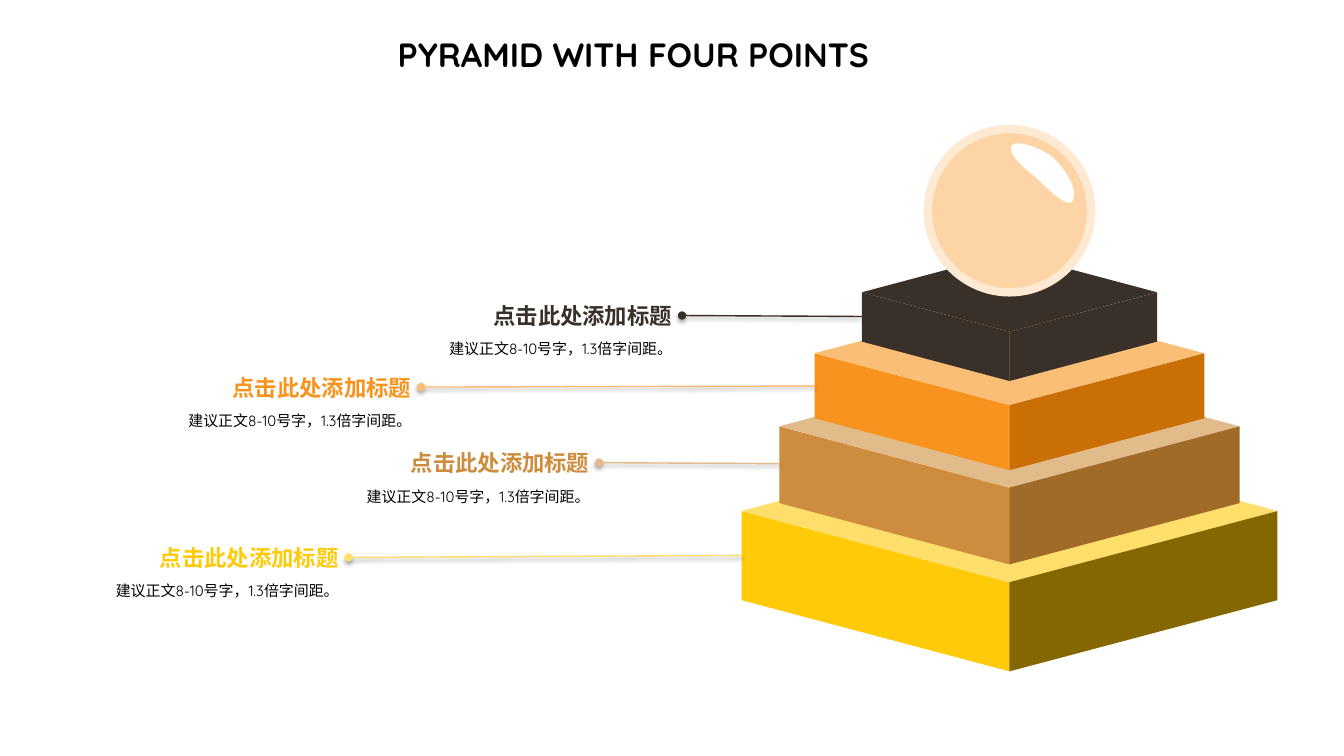
from pptx import Presentation
from pptx.dml.color import RGBColor
from pptx.enum.shapes import MSO_CONNECTOR, MSO_SHAPE
from pptx.enum.text import MSO_ANCHOR, MSO_AUTO_SIZE, PP_ALIGN
from pptx.oxml import parse_xml
from pptx.oxml.ns import nsdecls
from pptx.util import Inches, Pt

# The slide is a grid of square cells, 133.4 columns by 75 rows
COLUMNS, ROWS = 133.4, 75
CELL = Inches(0.1)
AXIS = 100.2  # column of the pyramid's centre line
FONT = "Quicksand"
COLORS = {
    "black": "000000", "white": "FFFFFF", "dark": "39302A",
    "yellow": "FFCA08", "yellow top": "FFDF6B", "yellow side": "846700",
    "brown": "CE8D3E", "brown top": "E2BB8B", "brown side": "A06A29",
    "orange": "F8931D", "orange top": "FBBE77", "orange side": "CA6F06",
    "ball": "FCD4A5", "ball rim": "FEE9D2",
}
LINE_SHADOW = (
    f'<a:effectLst {nsdecls("a")}>'
    '<a:outerShdw blurRad="40000" dist="20000" dir="5400000" rotWithShape="0">'
    '<a:srgbClr val="000000"><a:alpha val="38000"/></a:srgbClr>'
    '</a:outerShdw></a:effectLst>'
)
OVAL_HEAD = f'<a:headEnd {nsdecls("a")} type="oval"/>'


def cells(*counts):
    return [round(count * CELL) for count in counts]


def color(name):
    return RGBColor.from_string(COLORS[name])


def bezier(start, first, second, end, steps=12):
    """Points along a cubic curve, without its start."""
    points = []
    for step in range(1, steps + 1):
        t = step / steps
        weights = ((1 - t) ** 3, 3 * t * (1 - t) ** 2, 3 * t * t * (1 - t), t ** 3)
        points.append(tuple(
            sum(weight * value for weight, value in zip(weights, axis))
            for axis in zip(start, first, second, end)))
    return points


class PyramidSlide:
    def __init__(self, deck):
        self.page = deck.slides.add_slide(deck.slide_layouts[6])
        self.shapes = self.page.shapes

    def paint(self, shape, fill):
        shape.shadow.inherit = False
        shape.fill.solid()
        shape.fill.fore_color.rgb = color(fill)
        shape.line.fill.background()
        return shape

    def shape(self, kind, left, top, width, height, fill):
        shape = self.shapes.add_shape(kind, *cells(left, top, width, height))
        return self.paint(shape, fill)

    def text(self, left, top, width, height, text, size, ink, align,
             bold=False, wrap=True, spacing=None, grow=True):
        box = self.shapes.add_textbox(*cells(left, top, width, height))
        frame = box.text_frame
        frame.text = text
        frame.word_wrap = wrap
        if grow:
            frame.auto_size = MSO_AUTO_SIZE.SHAPE_TO_FIT_TEXT
        else:
            frame.vertical_anchor = MSO_ANCHOR.MIDDLE
        para = frame.paragraphs[0]
        para.alignment = align
        if spacing:
            para.line_spacing = spacing
        font = para.runs[0].font
        font.name, font.size, font.bold = FONT, Pt(size), bold
        font.color.rgb = color(ink)

    def face(self, center_x, center_y, rise, run, fill, right):
        # A parallelogram on its side, so its width runs down the slide
        face = self.shape(MSO_SHAPE.PARALLELOGRAM, center_x - rise / 2,
                          center_y - run / 2, rise, run, fill)
        face.adjustments[0] = 0.444
        face.rotation = 270 if right else 90
        if right:
            face._element.spPr.xfrm.set("flipH", "1")

    def tier(self, top, width, depth, rise, front, lid, side):
        half = width / 2
        center_y = top + depth / 2 + rise / 2
        self.face(AXIS - half / 2, center_y, rise, half, front, False)
        self.shape(MSO_SHAPE.DIAMOND, AXIS - half, top, width, depth, lid)
        self.face(AXIS + half / 2, center_y, rise, half, side, True)

    def ball(self, top, size):
        ball = self.shape(MSO_SHAPE.OVAL, AXIS - size / 2, top, size, size, "ball")
        ball.line.color.rgb = color("ball rim")
        ball.line.width = Pt(6)

    def highlight(self, start, curves):
        points = [start]
        for curve in curves:
            points += bezier(points[-1], *curve)
        builder = self.shapes.build_freeform(*cells(*start))
        builder.add_line_segments([cells(*point) for point in points[1:]], close=True)
        self.paint(builder.convert_to_shape(), "white")

    def pointer(self, start_x, start_y, end_x, end_y, ink):
        line = self.shapes.add_connector(
            MSO_CONNECTOR.STRAIGHT, *cells(start_x, start_y, end_x, end_y))
        line.line.color.rgb = color(ink)
        line.line.width = Pt(1)
        properties = line._element.spPr
        properties.ln.append(parse_xml(OVAL_HEAD))
        properties.append(parse_xml(LINE_SHADOW))

    def caption(self, right, top, target_x, drop, ink, line_ink):
        self.text(right - 25.9, top + 3.2, 25.9, 3.1, "建议正文8-10号字，1.3倍字间距。",
                  10.7, "black", PP_ALIGN.RIGHT, spacing=1.3)
        self.text(right - 20, top, 20, 3.7, "点击此处添加标题",
                  16, ink, PP_ALIGN.RIGHT, bold=True, wrap=False)
        start_y = top + 1.8
        self.pointer(right, start_y, target_x, start_y + drop, line_ink)


def main():
    deck = Presentation()
    deck.slide_width, deck.slide_height = cells(COLUMNS, ROWS)
    slide = PyramidSlide(deck)

    # Heading
    slide.text(36.4, 2.6, 52.9, 5.6, "PYRAMID WITH FOUR POINTS", 24, "black",
               PP_ALIGN.CENTER, bold=True, grow=False)

    # Pyramid, from the base up: top, width, depth, rise, colours
    tiers = [
        (43.6, 53.2, 14.2, 15.9, "yellow", "yellow top", "yellow side"),
        (36.2, 45.7, 12.2, 13.7, "brown", "brown top", "brown side"),
        (29.9, 38.7, 10.3, 11.6, "orange", "orange top", "orange side"),
        (25.1, 29.3, 7.8, 8.8, "dark", "dark", "dark"),
    ]
    for tier in tiers:
        slide.tier(*tier)

    # Ball on the top
    slide.ball(12.8, 16.2)
    slide.highlight((100.4, 14.5), [
        ((100.8, 13.7), (103.6, 14.8), (104.6, 15.7)),
        ((105.6, 16.7), (107.2, 18.8), (106.4, 20)),
        ((105.7, 20.6), (103.8, 18.5), (102.8, 17.6)),
        ((101.7, 16.7), (100, 15.3), (100.4, 14.5)),
    ])

    # Captions: right edge, top and drop of the pointer, base tier first
    captions = [(34.6, 53.5, -0.2), (59.5, 44.1, 0.1), (41.8, 36.6, -0.1), (67.7, 29.5, 0.1)]
    for (right, top, drop), (_, width, _, _, front, lid, _) in zip(captions, tiers):
        slide.caption(right, top, AXIS - width / 2, drop, front, lid)

    deck.save("out.pptx")


if __name__ == "__main__":
    main()
